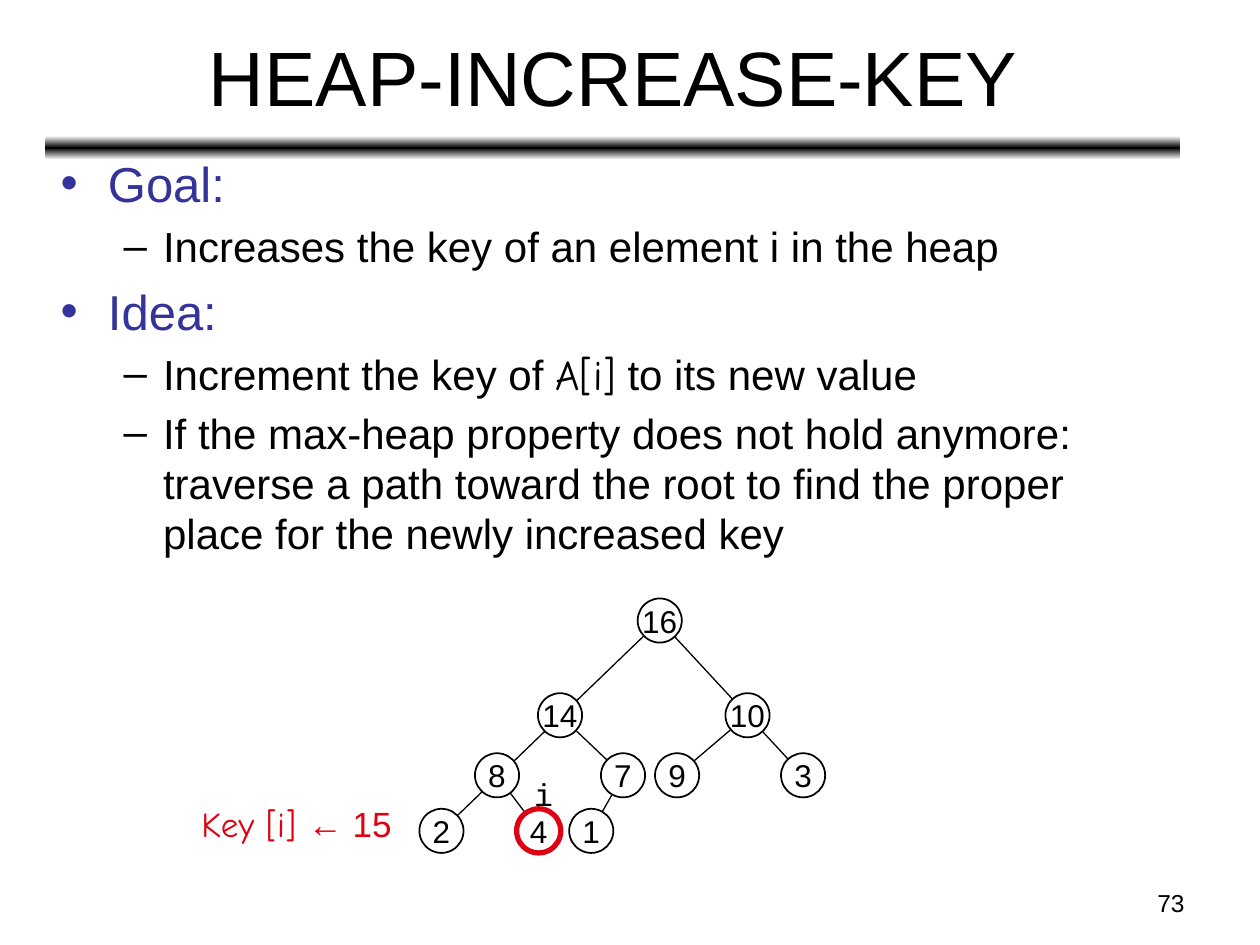
import copy
from dataclasses import dataclass

import pptx
import pptx.dml.color
import pptx.enum.shapes
import pptx.enum.text
import pptx.oxml.ns
import pptx.util
from pptx.util import Cm

RGB = pptx.dml.color.RGBColor.from_string
ALIGN = pptx.enum.text.PP_ALIGN
SHAPE = pptx.enum.shapes.MSO_SHAPE
NS = pptx.oxml.ns


@dataclass(frozen=True)
class Theme:
    ink: str = "000000"
    paper: str = "FFFFFF"
    head: str = "333399"
    mark: str = "DD0111"
    sans: str = "Arial"
    hand: str = "Comic Neue"
    mono: str = "Courier New"
    title: int = 44
    goal: int = 28
    point: int = 24
    key: int = 20
    node: int = 18
    page: int = 14


THEME = Theme()
SIDE = 0.89  # node diameter, cm

# Body lines: level, then the text cut where the font changes
BODY = [
    (0, ["Goal:"]),
    (1, ["Increases the key of an element i in the heap"]),
    (0, ["Idea:"]),
    (1, ["Increment the key of ", "A[i]", " to its new value"]),
    (1, ["If the max-heap property does not hold anymore: traverse a path "
         "toward the root to find the proper place for the newly increased key"]),
]

# Heap rows: centre height, then the centre of each key across
ROWS = [
    (12.51, {16: 13.3}),
    (14.42, {14: 11.29, 10: 15.07}),
    (15.63, {8: 10.02, 7: 12.56, 9: 13.65, 3: 16.19}),
    (16.75, {2: 8.9, 4: 10.86, 1: 11.92}),
]
# Each line runs straight through any nodes between its ends
EDGES = [(7, 1), (10, 9), (8, 4), (14, 7), (16, 3), (16, 2)]
CHANGED = 4


def style(run, size, color=THEME.ink, face=THEME.sans):
    run.font.size = pptx.util.Pt(size)
    run.font.name = face
    run.font.color.rgb = RGB(color)


def place(shape, left, top, width, height):
    shape.left, shape.top = Cm(left), Cm(top)
    shape.width, shape.height = Cm(width), Cm(height)


def add_bar(slide):
    """Rule under the title, fading to white above and below, at the back."""
    bar = slide.shapes.add_shape(
        SHAPE.ROUNDED_RECTANGLE, Cm(0.91), Cm(2.74), Cm(22.89), Cm(0.48))
    bar.shadow.inherit = False
    bar.line.fill.background()
    bar.fill.gradient()
    bar.fill.gradient_angle = 90
    stops = bar._element.spPr.find(".//" + NS.qn("a:gsLst"))
    stops.append(copy.deepcopy(stops[0]))
    colors = (THEME.paper, THEME.ink, THEME.paper)
    for i, (stop, color) in enumerate(zip(bar.fill.gradient_stops, colors)):
        stop.position = i / 2
        stop.color.rgb = RGB(color)
    slide.shapes._spTree.insert(2, bar._element)


def fill_title(shape):
    place(shape, 0.94, 0.28, 22.86, 2.51)
    shape.text_frame.text = "HEAP-INCREASE-KEY"
    style(shape.text_frame.paragraphs[0].runs[0], THEME.title)


def fill_body(shape):
    place(shape, 0.97, 2.97, 22.86, 14.1)
    frame = shape.text_frame
    frame.auto_size = pptx.enum.text.MSO_AUTO_SIZE.NONE
    frame.text = "\n".join("".join(parts) for _, parts in BODY)
    for para, (level, parts) in zip(frame.paragraphs, BODY):
        para.level = level
        para.runs[0].text = parts[0]
        for part in parts[1:]:
            para.add_run().text = part
        size, color = ((THEME.point, THEME.ink) if level
                       else (THEME.goal, THEME.head))
        for i, run in enumerate(para.runs):
            style(run, size, color, THEME.hand if i % 2 else THEME.sans)


def add_label(slide, box, parts, size, color=THEME.ink, align=ALIGN.LEFT,
              wrap=False):
    """Text box whose parts are pairs of text and font."""
    frame = slide.shapes.add_textbox(*map(Cm, box)).text_frame
    frame.word_wrap = wrap
    para = frame.paragraphs[0]
    para.alignment = align
    for text, face in parts:
        run = para.add_run()
        run.text = text
        style(run, size, color, face)


def add_edge(slide, start, end):
    line = slide.shapes.add_connector(
        pptx.enum.shapes.MSO_CONNECTOR.STRAIGHT, *map(Cm, start + end))
    line.line.color.rgb = RGB(THEME.ink)
    line.line.width = pptx.util.Pt(0.75)
    line._element.spPr.append(pptx.oxml.parse_xml(
        f"<a:effectLst {NS.nsdecls('a')}/>"))


def add_node(slide, key, x, y):
    node = slide.shapes.add_shape(
        SHAPE.OVAL, Cm(x - SIDE / 2), Cm(y - SIDE / 2), Cm(SIDE), Cm(SIDE))
    node.shadow.inherit = False
    node.fill.solid()
    node.fill.fore_color.rgb = RGB(THEME.paper)
    hot = key == CHANGED
    node.line.color.rgb = RGB(THEME.mark if hot else THEME.ink)
    node.line.width = pptx.util.Pt(3 if hot else 1)
    frame = node.text_frame
    frame.word_wrap = False
    frame.vertical_anchor = pptx.enum.text.MSO_ANCHOR.MIDDLE
    frame.text = str(key)
    frame.paragraphs[0].alignment = ALIGN.CENTER
    style(frame.paragraphs[0].runs[0], THEME.node)


def add_heap(slide):
    spots = {key: (x, y) for y, row in ROWS for key, x in row.items()}
    for start, end in EDGES:
        add_edge(slide, spots[start], spots[end])
    for key, (x, y) in spots.items():
        add_node(slide, key, x, y)


def main():
    deck = pptx.Presentation()
    deck.slide_width, deck.slide_height = Cm(25.4), Cm(19.05)
    slide = deck.slides.add_slide(deck.slide_layouts[1])
    add_bar(slide)
    fill_title(slide.shapes.title)
    fill_body(slide.placeholders[1])
    add_heap(slide)
    add_label(slide, (10.52, 15.49, 0.66, 1.02), [("i", THEME.mono)],
              THEME.node)
    add_label(slide, (3.81, 16.05, 4.52, 1.09),
              [("Key [i] ", THEME.hand), ("← 15", THEME.sans)],
              THEME.key, THEME.mark)
    add_label(slide, (18.21, 17.78, 5.92, 0.89), [("73", THEME.sans)],
              THEME.page, align=ALIGN.RIGHT, wrap=True)
    deck.save("out.pptx")


if __name__ == "__main__":
    main()
